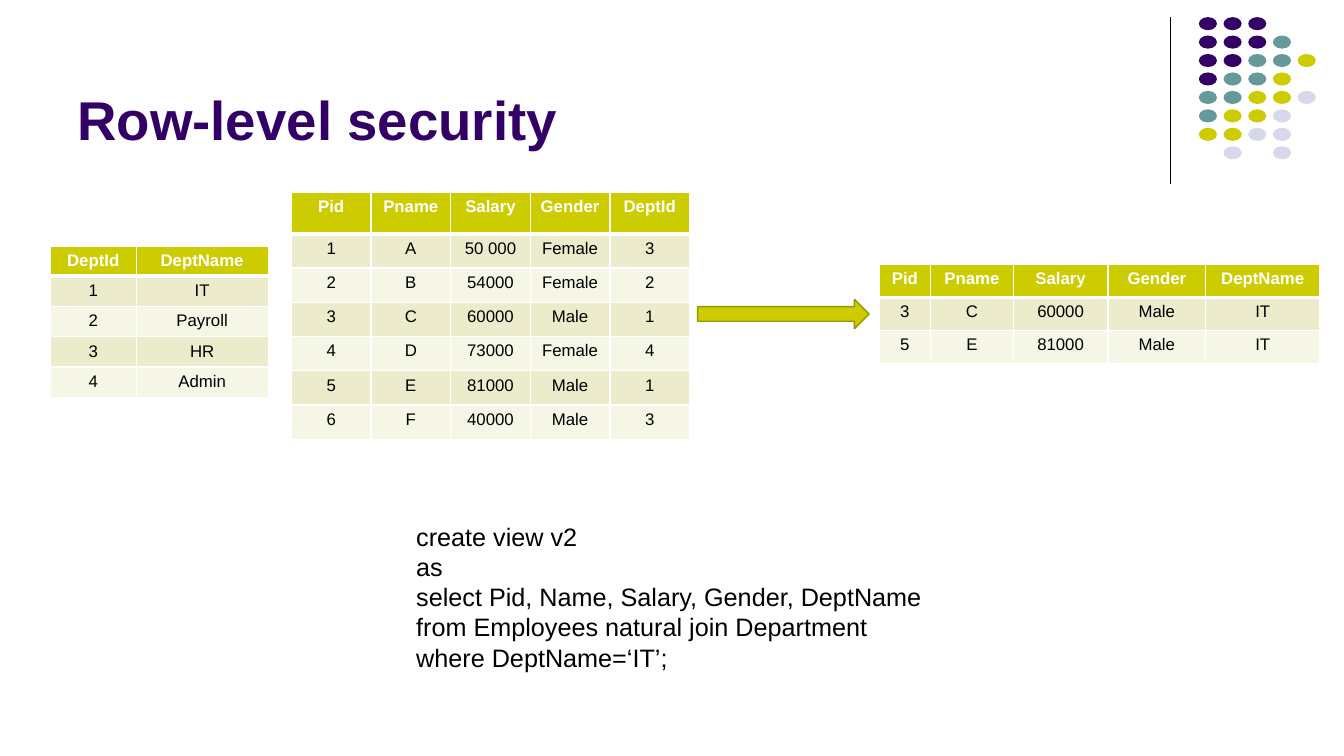
from lxml import etree
from pptx import Presentation
from pptx.dml.color import RGBColor
from pptx.enum.shapes import MSO_CONNECTOR as Connector, MSO_SHAPE as Shape
from pptx.enum.text import MSO_ANCHOR as Anchor, PP_ALIGN as Align
from pptx.oxml.ns import qn
from pptx.util import Inches, Pt

PURPLE, TEAL, LIME, LAVENDER = "330066", "669999", "CCCC00", "D8D8EC"
BLACK, WHITE, OLIVE = "000000", "FFFFFF", "979700"
BANDS = ("ECECCC", "F6F6E7")

DOT_COLORS = {"P": PURPLE, "T": TEAL, "Y": LIME, "L": LAVENDER}
DOT_ROWS = ["PPP", "PPPT", "PPTTY", "PTTY", "TTYYL", "TYYL", "YYLL", " L L"]

DEPARTMENTS = [
    ("DeptId", "DeptName"),
    ("1", "IT"),
    ("2", "Payroll"),
    ("3", "HR"),
    ("4", "Admin"),
]
EMPLOYEES = [
    ("Pid", "Pname", "Salary", "Gender", "DeptId"),
    ("1", "A", "50 000", "Female", "3"),
    ("2", "B", "54000", "Female", "2"),
    ("3", "C", "60000", "Male", "1"),
    ("4", "D", "73000", "Female", "4"),
    ("5", "E", "81000", "Male", "1"),
    ("6", "F", "40000", "Male", "3"),
]
VIEW_ROWS = [
    ("Pid", "Pname", "Salary", "Gender", "DeptName"),
    ("3", "C", "60000", "Male", "IT"),
    ("5", "E", "81000", "Male", "IT"),
]
QUERY = """create view v2
as
select Pid, Name, Salary, Gender, DeptName
from Employees natural join Department
where DeptName=‘IT’;"""


def color(hex_string):
    return RGBColor.from_string(hex_string)


def write_text(frame, text, size=18, fill=BLACK, bold=False, align=Align.LEFT):
    for index, line in enumerate(text.split("\n")):
        paragraph = frame.add_paragraph() if index else frame.paragraphs[0]
        paragraph.alignment = align
        run = paragraph.add_run()
        run.text = line
        run.font.name = "Arial"
        run.font.size = Pt(size)
        run.font.bold = bold
        run.font.color.rgb = color(fill)


def add_text(slide, box, text, anchor=Anchor.TOP, **text_format):
    frame = slide.shapes.add_textbox(*map(Inches, box)).text_frame
    frame.word_wrap = True
    frame.vertical_anchor = anchor
    write_text(frame, text, **text_format)


def add_filled_shape(shapes, kind, box, fill, line=None):
    shape = shapes.add_shape(kind, *map(Inches, box))
    shape.shadow.inherit = False
    shape.fill.solid()
    shape.fill.fore_color.rgb = color(fill)
    if line:
        shape.line.color.rgb = color(line)
        shape.line.width = Pt(1)
    else:
        shape.line.fill.background()


def add_corner_decoration(slide, left, top):
    # Vertical rule
    rule = slide.shapes.add_connector(
        Connector.STRAIGHT, Inches(left), Inches(top), Inches(left), Inches(top + 1.66))
    rule.line.color.rgb = color(BLACK)
    rule.line.width = Pt(0.75)
    etree.SubElement(rule._element.spPr, qn("a:effectLst"))

    # Dot grid
    dots = slide.shapes.add_group_shape().shapes
    for row, pattern in enumerate(DOT_ROWS):
        for column, key in enumerate(pattern):
            if key in DOT_COLORS:
                box = (left + 0.28 + column * 0.245, top + row * 0.183, 0.18, 0.13)
                add_filled_shape(dots, Shape.OVAL, box, DOT_COLORS[key])


def set_borders(cell, bottom):
    properties = cell._tc.get_or_add_tcPr()
    widths = {"a:lnL": 1, "a:lnR": 1, "a:lnT": 1, "a:lnB": bottom}
    # Borders precede the fill in the cell properties
    for position, (side, width) in enumerate(widths.items()):
        line = etree.Element(qn(side), w=str(Pt(width)))
        fill = etree.SubElement(line, qn("a:solidFill"))
        etree.SubElement(fill, qn("a:srgbClr"), val=WHITE)
        properties.insert(position, line)


def add_data_table(slide, left, top, rows, widths, header_height, row_height):
    heights = [header_height] + [row_height] * (len(rows) - 1)
    table = slide.shapes.add_table(
        len(rows), len(widths), Inches(left), Inches(top),
        Inches(sum(widths)), Inches(sum(heights))).table
    for column, width in zip(table.columns, widths):
        column.width = Inches(width)
    for index, (values, height) in enumerate(zip(rows, heights)):
        table.rows[index].height = Inches(height)
        header = index == 0
        for column, value in enumerate(values):
            cell = table.cell(index, column)
            cell.fill.solid()
            cell.fill.fore_color.rgb = color(LIME if header else BANDS[(index - 1) % 2])
            set_borders(cell, bottom=3 if header else 1)
            write_text(cell.text_frame, value, size=12, bold=header,
                       fill=WHITE if header else BLACK, align=Align.CENTER)


def build_slide(presentation):
    slide = presentation.slides.add_slide(presentation.slide_layouts[6])
    add_corner_decoration(slide, 11.61, 0.17)

    # Title and query
    add_text(slide, (0.67, 0.13, 11, 1.42), "Row-level security",
             anchor=Anchor.BOTTOM, size=39, fill=PURPLE, bold=True)
    add_text(slide, (4.03, 5.12, 5.27, 1.62), QUERY)

    # Source tables, arrow and resulting view
    add_data_table(slide, 0.5, 2.44, DEPARTMENTS, [0.85, 1.31], 0.3, 0.3)
    add_data_table(slide, 2.89, 1.91, EMPLOYEES, [0.79] * 5, 0.41, 0.34)
    add_data_table(slide, 8.72, 2.62, VIEW_ROWS,
                   [0.51, 0.82, 0.94, 0.97, 1.13], 0.33, 0.33)
    add_filled_shape(slide.shapes, Shape.RIGHT_ARROW, (6.92, 2.97, 1.7, 0.29),
                     LIME, line=OLIVE)


def main():
    presentation = Presentation()
    presentation.slide_width = Inches(13.33)
    presentation.slide_height = Inches(7.5)
    build_slide(presentation)
    presentation.save("out.pptx")


if __name__ == "__main__":
    main()
